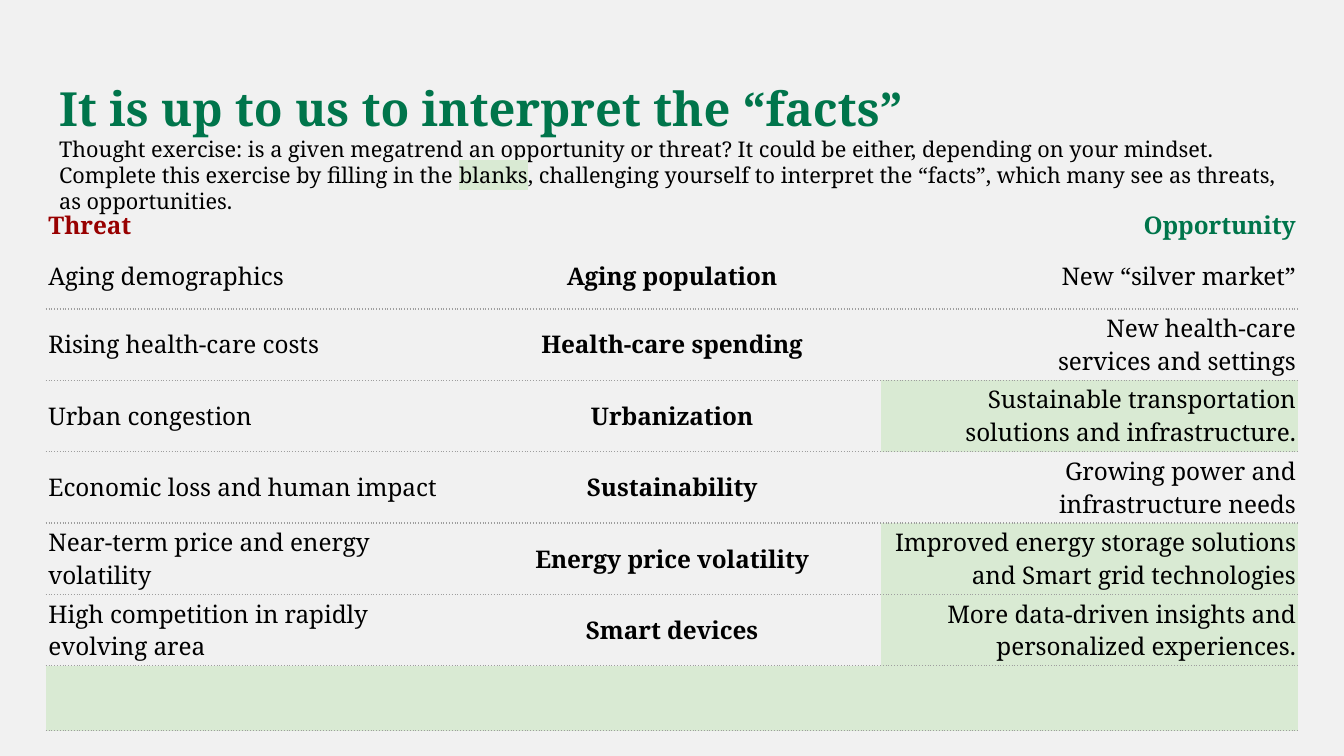
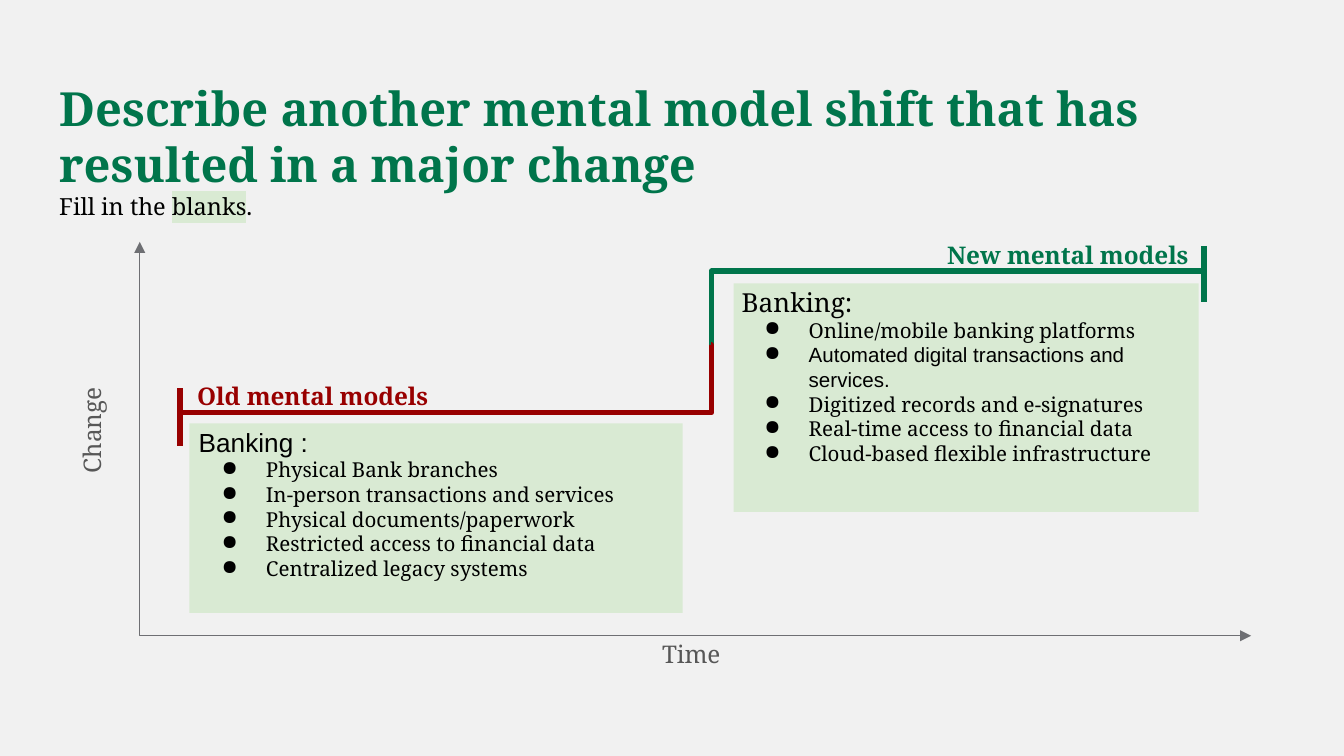
import dataclasses

import pptx
import pptx.dml.color
import pptx.enum.shapes
import pptx.enum.text
import pptx.oxml.ns
import pptx.util
from lxml import etree

Pt = pptx.util.Pt
qn = pptx.oxml.ns.qn
ALIGN = pptx.enum.text.PP_ALIGN
ANCHOR = pptx.enum.text.MSO_ANCHOR
AUTO_SIZE = pptx.enum.text.MSO_AUTO_SIZE
CONNECTOR = pptx.enum.shapes.MSO_CONNECTOR


@dataclasses.dataclass(frozen=True)
class Theme:
    """Colours, fonts and type sizes of the presentation."""
    background: str = "F1F1F1"
    green: str = "00754B"
    red: str = "980000"
    blank: str = "D9EAD3"
    black: str = "000000"
    label: str = "575757"
    axis: str = "6E6F73"
    rule: str = "9E9E9E"
    serif: str = "Noto Serif"
    sans: str = "Arial"
    title: float = 25.2
    body: float = 13
    heading: float = 14
    bullet: float = 11


THEME = Theme()
NO_GRID_STYLE = "{2D5ABB26-0587-4C30-8999-92F81FD0307C}"
MEGATRENDS = [
    ("Aging demographics", "Aging population", "New “silver market”", False),
    ("Rising health-care costs", "Health-care spending",
     "New health-care\nservices and settings", False),
    ("Urban congestion", "Urbanization",
     "Sustainable transportation solutions and infrastructure.", True),
    ("Economic loss and human impact", "Sustainability",
     "Growing power and\ninfrastructure needs", False),
    ("Near-term price and energy volatility", "Energy price volatility",
     "Improved energy storage solutions and Smart grid technologies", True),
    ("High competition in rapidly evolving area", "Smart devices",
     "More data-driven insights and personalized experiences.", True),
]
OLD_BANKING = [
    ("Physical Bank branches", THEME.serif),
    ("In-person transactions and services", THEME.serif),
    ("Physical documents/paperwork", THEME.serif),
    ("Restricted access to financial data", THEME.serif),
    ("Centralized legacy systems", THEME.serif),
]
NEW_BANKING = [
    ("Online/mobile banking platforms", THEME.serif),
    ("Automated digital transactions and services.", THEME.sans),
    ("Digitized records and e-signatures", THEME.serif),
    ("Real-time access to financial data", THEME.serif),
    ("Cloud-based flexible infrastructure", THEME.serif),
]


def rgb(color):
    """Turn a hex string into a colour."""
    return pptx.dml.color.RGBColor.from_string(color)


def set_attributes(target, values):
    """Set each named attribute of the target."""
    for name, value in values.items():
        setattr(target, name, value)


def paint(fill, color):
    """Give a fill one solid colour."""
    fill.solid()
    fill.fore_color.rgb = rgb(color)


def add_run(paragraph, text, size, color=THEME.black, bold=False, name=THEME.serif, highlight=None):
    """Append a formatted run, highlighted if a colour is given."""
    run = paragraph.add_run()
    run.text = text
    set_attributes(run.font, {"size": Pt(size), "bold": bold, "name": name})
    run.font.color.rgb = rgb(color)
    if highlight:
        element = etree.Element(qn("a:highlight"))
        etree.SubElement(element, qn("a:srgbClr"), val=highlight)
        run.font._element.find(qn("a:latin")).addprevious(element)


def add_paragraph(frame, **values):
    """Return the next free paragraph of a frame, formatted."""
    paragraph = frame.add_paragraph() if frame.text else frame.paragraphs[0]
    set_attributes(paragraph, values)
    return paragraph


def add_bullet(paragraph):
    """Put a round bullet and a hanging indent on a paragraph."""
    properties = paragraph._p.get_or_add_pPr()
    properties.set("marL", str(Pt(36)))
    properties.set("indent", str(-Pt(23.76)))
    color = etree.SubElement(properties, qn("a:buClr"))
    etree.SubElement(color, qn("a:srgbClr"), val=THEME.black)
    etree.SubElement(properties, qn("a:buChar"), char="●")


def format_frame(frame, horizontal, vertical, **values):
    """Set the insets and other values of a text frame."""
    set_attributes(frame, {
        "word_wrap": True,
        "margin_left": Pt(horizontal), "margin_right": Pt(horizontal),
        "margin_top": Pt(vertical), "margin_bottom": Pt(vertical), **values})


def add_text_box(slide, box, horizontal, vertical, **values):
    """Add a wrapping text box and return it."""
    shape = slide.shapes.add_textbox(*map(Pt, box))
    format_frame(shape.text_frame, horizontal, vertical, **values)
    return shape


def add_titled_slide(presentation, title, note, size):
    """Add a slide with a title and a note that marks the word blanks."""
    slide = presentation.slides.add_slide(presentation.slide_layouts[5])
    shape = slide.shapes.title
    set_attributes(shape, {"left": Pt(24.5), "top": Pt(35.3), "width": Pt(671), "height": Pt(45.4)})
    frame = shape.text_frame
    format_frame(frame, 7.2, 7.2, vertical_anchor=ANCHOR.TOP, auto_size=AUTO_SIZE.NONE)
    layout = {"alignment": ALIGN.LEFT, "line_spacing": 1.0}
    add_run(add_paragraph(frame, **layout), title, THEME.title, THEME.green, True)
    paragraph = add_paragraph(frame, **layout)
    before, blank, after = note.partition("blanks")
    add_run(paragraph, before, size)
    add_run(paragraph, blank, size, highlight=THEME.blank)
    add_run(paragraph, after, size)
    return slide


def add_cell_rule(cell, side):
    """Draw a dotted rule on one side of a cell."""
    line = etree.SubElement(cell._tc.get_or_add_tcPr(), qn(side), w=str(Pt(0.75)))
    fill = etree.SubElement(line, qn("a:solidFill"))
    etree.SubElement(fill, qn("a:srgbClr"), val=THEME.rule)
    etree.SubElement(line, qn("a:prstDash"), val="dot")


def fill_cell(cell, text, alignment, color, bold, sides, blank):
    """Write and format one table cell."""
    set_attributes(cell, {
        "margin_left": Pt(1.5), "margin_right": Pt(1.5), "margin_top": Pt(1.5),
        "margin_bottom": Pt(1.5), "vertical_anchor": ANCHOR.MIDDLE})
    for line in text.split("\n"):
        paragraph = add_paragraph(cell.text_frame, alignment=alignment)
        if line:
            add_run(paragraph, line, THEME.body, color, bold)
        else:
            etree.SubElement(paragraph._p, qn("a:endParaRPr"), sz=str(THEME.body * 100))
    for side in sides:
        add_cell_rule(cell, side)
    if blank:
        paint(cell.fill, THEME.blank)
    else:
        cell.fill.background()


def add_megatrend_table(slide):
    """Add the table of threats, megatrends and opportunities."""
    rows = [("Threat", "", "Opportunity", False), *MEGATRENDS, ("", "", "", True)]
    frame = slide.shapes.add_table(len(rows), 3, Pt(24.5), Pt(110.2), Pt(671.1), Pt(262))
    table = frame.table
    table._tbl.tblPr.find(qn("a:tableStyleId")).text = NO_GRID_STYLE
    set_attributes(table, {"first_row": False, "horz_banding": False})
    for column in table.columns:
        column.width = Pt(223.7)
    header_colors = (THEME.red, THEME.black, THEME.green)
    alignments = (ALIGN.LEFT, ALIGN.CENTER, ALIGN.RIGHT)
    for index, (*texts, blank) in enumerate(rows):
        table.rows[index].height = Pt(34.7 if index else 19.4)
        sides = ["a:lnT"] * (index > 1) + ["a:lnB"] * (index > 0)
        for position, text in enumerate(texts):
            color = THEME.black if index else header_colors[position]
            bold = index == 0 or position == 1
            filled = blank and (position == 2 or not any(texts))
            fill_cell(table.cell(index, position), text, alignments[position],
                      color, bold, sides, filled)


def add_blank_panel(slide, box):
    """Add a plain panel that marks an answer area."""
    shape = slide.shapes.add_shape(pptx.enum.shapes.MSO_SHAPE.RECTANGLE, *map(Pt, box))
    shape.shadow.inherit = False
    paint(shape.fill, THEME.blank)
    shape.line.fill.background()


def add_axes(slide):
    """Draw both axes as one open outline with arrowheads."""
    corners = [(Pt(x), Pt(y)) for x, y in ((74.9, 129.6), (74.9, 340.6), (670.3, 340.6))]
    builder = slide.shapes.build_freeform(*corners[0], scale=1.0)
    builder.add_line_segments(corners[1:], close=False)
    shape = builder.convert_to_shape()
    shape.shadow.inherit = False
    shape.fill.background()
    paint(shape.line.fill, THEME.axis)
    shape.line.width = Pt(0.75)
    line = shape._element.spPr.find(qn("a:ln"))
    for end in ("a:headEnd", "a:tailEnd"):
        etree.SubElement(line, qn(end), type="triangle")


def add_line(slide, start, end, color, bend=None):
    """Add a thick connector, bent at a share of its width if given."""
    kind = CONNECTOR.STRAIGHT if bend is None else CONNECTOR.ELBOW
    connector = slide.shapes.add_connector(kind, *map(Pt, (*start, *end)))
    paint(connector.line.fill, color)
    connector.line.width = Pt(3)
    properties = connector._element.spPr
    etree.SubElement(properties, qn("a:effectLst"))
    if bend is not None:
        guides = properties.find(qn("a:prstGeom")).find(qn("a:avLst"))
        etree.SubElement(guides, qn("a:gd"), name="adj1", fmla=f"val {bend}")


def add_model_label(slide, box, text, color, alignment):
    """Add the bold name of a mental model."""
    shape = add_text_box(slide, box, 7.2, 3.6)
    paragraph = add_paragraph(shape.text_frame, alignment=alignment, line_spacing=0.96)
    add_run(paragraph, text, THEME.body, color, True)


def add_axis_label(slide, box, text, rotation=0):
    """Add the name of an axis."""
    shape = add_text_box(slide, box, 0, 0, vertical_anchor=ANCHOR.MIDDLE,
                         auto_size=AUTO_SIZE.SHAPE_TO_FIT_TEXT)
    shape.rotation = rotation
    paragraph = add_paragraph(shape.text_frame, alignment=ALIGN.RIGHT, line_spacing=0.96)
    add_run(paragraph, text, THEME.body, THEME.label)


def add_answer(slide, box, heading, heading_font, items):
    """Add a heading with a bulleted list of (text, font) items."""
    frame = add_text_box(slide, box, 7.2, 7.2, auto_size=AUTO_SIZE.SHAPE_TO_FIT_TEXT).text_frame
    paragraph = add_paragraph(frame, line_spacing=1.0)
    add_run(paragraph, heading, THEME.heading, name=heading_font)
    for text, font in items:
        paragraph = add_paragraph(frame, line_spacing=1.0)
        add_bullet(paragraph)
        add_run(paragraph, text, THEME.bullet, name=font)


def add_facts_slide(presentation):
    """Build the slide on threats and opportunities."""
    slide = add_titled_slide(
        presentation, "It is up to us to interpret the “facts”",
        "Thought exercise: is a given megatrend an opportunity or threat? It could be either, "
        "depending on your mindset. Complete this exercise by filling in the blanks, challenging "
        "yourself to interpret the “facts”, which many see as threats, as opportunities.", 11.6)
    add_megatrend_table(slide)


def add_shift_slide(presentation):
    """Build the slide on the shift from old to new mental models."""
    slide = add_titled_slide(
        presentation, "Describe another mental model shift that has resulted in a major change",
        "Fill in the blanks.", 12.6)
    add_blank_panel(slide, (101.5, 226.8, 264.2, 101.5))
    add_blank_panel(slide, (393.1, 151.9, 249.1, 122.4))
    add_axes(slide)
    add_line(slide, (645.1, 131.8), (645.1, 162), THEME.green)
    add_line(slide, (96.5, 208.1), (96.5, 239), THEME.red)
    add_model_label(slide, (385.9, 126, 257.8, 17.3), "New mental models", THEME.green, ALIGN.RIGHT)
    add_axis_label(slide, (19.4, 230.4, 60.5, 15.1), "Change", 270)
    add_axis_label(slide, (334.1, 343.4, 51.8, 15.1), "Time")
    add_model_label(slide, (98.6, 201.6, 275.8, 26.6), "Old mental models", THEME.red, ALIGN.LEFT)
    add_line(slide, (380.9, 189.4), (645.1, 145.4), THEME.green, 100)
    add_line(slide, (97.9, 221), (380.9, 185), THEME.red, 100100)
    add_answer(slide, (99.4, 221, 252, 115.2), "Banking :", THEME.sans, OLD_BANKING)
    add_answer(slide, (390.2, 146.2, 252, 111.6), "Banking:", THEME.serif, NEW_BANKING)


def main():
    """Build and save the presentation."""
    presentation = pptx.Presentation()
    set_attributes(presentation, {"slide_width": Pt(720), "slide_height": Pt(405)})
    paint(presentation.slide_master.background.fill, THEME.background)
    add_facts_slide(presentation)
    add_shift_slide(presentation)
    presentation.save("out.pptx")


if __name__ == "__main__":
    main()
